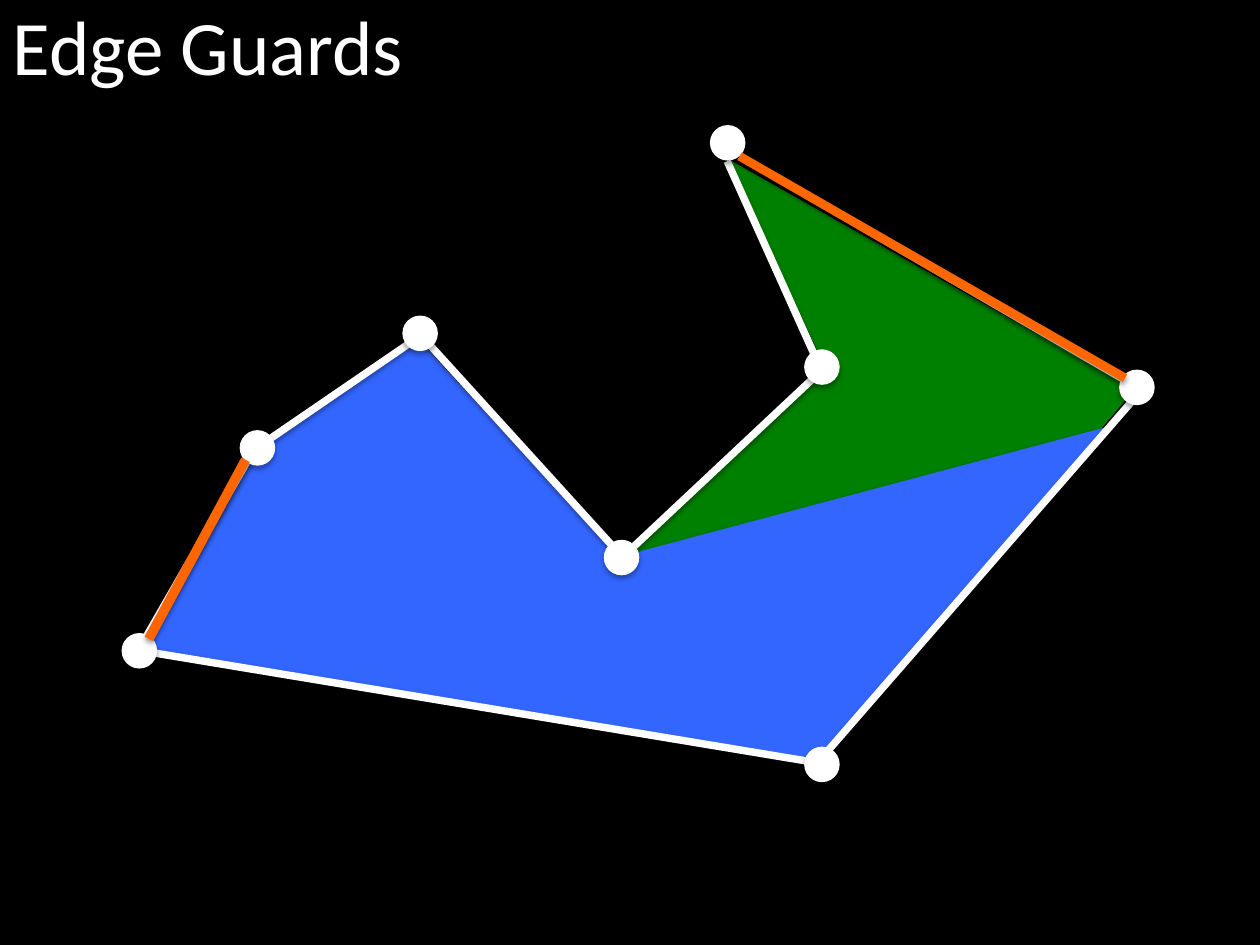
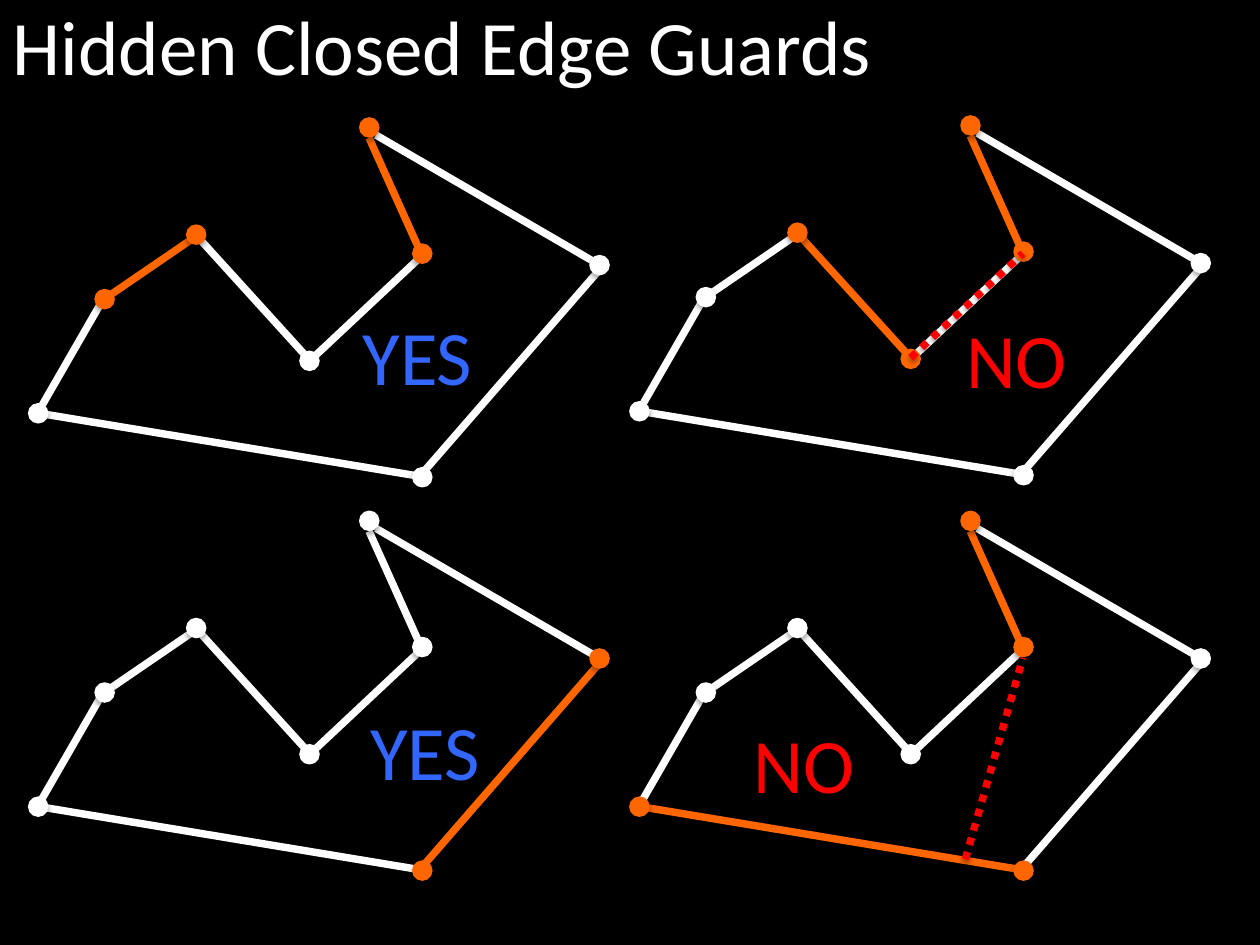
import lxml.etree
import pptx
import pptx.dml.color
import pptx.enum.dml
import pptx.enum.shapes
import pptx.enum.text
import pptx.oxml.ns
import pptx.util

Cm = pptx.util.Cm
Pt = pptx.util.Pt
RGBColor = pptx.dml.color.RGBColor
qn = pptx.oxml.ns.qn

# Colours and font
BLACK = RGBColor(0x00, 0x00, 0x00)
WHITE = RGBColor(0xFF, 0xFF, 0xFF)
ORANGE = RGBColor(0xFF, 0x66, 0x00)
GREEN = RGBColor(0x00, 0x80, 0x00)
BLUE = RGBColor(0x33, 0x66, 0xFF)
RED = RGBColor(0xFF, 0x00, 0x00)
FONT = "Calibri"

# Polygon at full size, in centimetres
DOT = 0.69
VERTICES = {
    "west": (2.81, 13.12), "peak": (8.47, 6.72), "notch": (12.53, 11.24),
    "elbow": (16.57, 7.4), "tip": (14.67, 2.88), "south": (16.57, 15.41),
    "east": (22.92, 7.81), "shoulder": (5.19, 9.03),
}
EDGES = {
    ("tip", "east"): ((14.91, 3.15), (22.86, 7.77)),
    ("shoulder", "west"): ((5.16, 8.99), (2.79, 13.11)),
    ("shoulder", "peak"): ((5.16, 9.04), (8.46, 6.78)),
    ("peak", "notch"): ((8.46, 6.73), (12.55, 11.23)),
    ("notch", "elbow"): ((12.55, 11.23), (16.56, 7.47)),
    ("west", "south"): ((2.79, 13.11), (16.56, 15.39)),
    ("south", "east"): ((16.51, 15.34), (23.14, 7.72)),
    ("elbow", "tip"): ((16.56, 7.47), (14.66, 3.25)),
}

# Areas seen by the two guards
GREEN_AREA = [(14.73, 3.25), (16.66, 7.44), (12.5, 11.3),
              (6.02, 13.54), (16.48, 15.29), (22.86, 7.85)]
BLUE_AREA = [(8.43, 6.83), (5.16, 9.04), (2.84, 13.16),
             (16.51, 15.37), (22.38, 8.59), (12.47, 11.23)]

# Small polygons: offset, guard edges, answer, answer position, answer colour
SMALL = 0.56270
PANELS = [
    ((-0.81, 0.95), [("shoulder", "peak"), ("elbow", "tip")],
     "YES", (7.06, 6.1), BLUE),
    ((11.31, 0.91), [("peak", "notch"), ("elbow", "tip")],
     "NO", (19.23, 6.15), RED),
    ((-0.81, 8.88), [("south", "east")],
     "YES", (7.21, 14.05), BLUE),
    ((11.31, 8.88), [("west", "south"), ("elbow", "tip")],
     "NO", (14.94, 14.33), RED),
]
SIGHT_LINES = [((18.36, 7.21), (20.62, 5.11)),
               ((19.46, 17.32), (20.62, 13.26))]


def write(tf, text, size=44, color=WHITE, font=FONT):
    """Put one left-aligned line of text at the top of a text frame."""
    tf.word_wrap = True
    tf.auto_size = pptx.enum.text.MSO_AUTO_SIZE.NONE
    tf.vertical_anchor = pptx.enum.text.MSO_ANCHOR.TOP
    p = tf.paragraphs[0]
    p.alignment = pptx.enum.text.PP_ALIGN.LEFT
    r = p.add_run()
    r.text = text
    r.font.name = font
    r.font.size = Pt(size)
    r.font.color.rgb = color


def cast_shadow(shape, opacity=35, distance=1.8):
    """Give a shape a soft shadow straight below it."""
    spPr = shape._element.spPr
    effects = spPr.find(qn("a:effectLst"))
    if effects is None:
        effects = lxml.etree.SubElement(spPr, qn("a:effectLst"))
    shadow = lxml.etree.SubElement(
        effects, qn("a:outerShdw"), blurRad=str(Pt(3.1)),
        dist=str(Pt(distance)), dir="5400000", rotWithShape="0")
    tint = lxml.etree.SubElement(shadow, qn("a:srgbClr"), val=str(BLACK))
    lxml.etree.SubElement(tint, qn("a:alpha"), val=str(opacity * 1000))


class Deck:
    def __init__(self):
        self.prs = pptx.Presentation()
        self.prs.slide_width = Cm(25.4)
        self.prs.slide_height = Cm(19.05)
        fill = self.prs.slide_master.background.fill
        fill.solid()
        fill.fore_color.rgb = BLACK
        self.s = None

    def slide(self, title):
        self.s = self.prs.slides.add_slide(self.prs.slide_layouts[5])
        sp = self.s.shapes.title
        sp.left, sp.top = Cm(0), Cm(-0.15)
        sp.width, sp.height = Cm(23.65), Cm(2.13)
        write(sp.text_frame, title)

    def label(self, text, at, color):
        sp = self.s.shapes.add_textbox(*map(Cm, at), Cm(4.42), Cm(2.13))
        write(sp.text_frame, text, color=color)

    def paint(self, sp, color, outlined=True):
        sp.shadow.inherit = False
        sp.fill.solid()
        sp.fill.fore_color.rgb = color
        if outlined:
            sp.line.color.rgb = color
            sp.line.width = Pt(0.75)
        else:
            sp.line.fill.background()
        cast_shadow(sp)

    def area(self, points, color, outlined=True):
        start, *rest = [(Cm(x), Cm(y)) for x, y in points]
        builder = self.s.shapes.build_freeform(*start)
        builder.add_line_segments(rest, close=True)
        self.paint(builder.convert_to_shape(), color, outlined)

    def line(self, start, end, color, width=4.25, dotted=False, shapes=None):
        shapes = self.s.shapes if shapes is None else shapes
        cn = shapes.add_connector(pptx.enum.shapes.MSO_CONNECTOR.STRAIGHT,
                                  *map(Cm, start), *map(Cm, end))
        cn.line.color.rgb = color
        cn.line.width = Pt(width)
        if dotted:
            cn.line.dash_style = pptx.enum.dml.MSO_LINE.ROUND_DOT
        cast_shadow(cn, opacity=38, distance=1.6)

    def dot(self, center, size, color, shapes):
        x, y = center
        sp = shapes.add_shape(pptx.enum.shapes.MSO_SHAPE.OVAL,
                              Cm(x - size / 2), Cm(y - size / 2),
                              Cm(size), Cm(size))
        self.paint(sp, color)

    def polygon(self, offset=(0, 0), scale=1, guards=()):
        """Draw the polygon as a group, with guard edges in orange."""
        def place(point):
            return [o + scale * v for o, v in zip(offset, point)]

        shapes = self.s.shapes.add_group_shape().shapes
        for edge, (start, end) in EDGES.items():
            color = ORANGE if edge in guards else WHITE
            self.line(place(start), place(end), color, shapes=shapes)
        guarded = {name for edge in guards for name in edge}
        for name, center in VERTICES.items():
            color = ORANGE if name in guarded else WHITE
            self.dot(place(center), DOT * scale, color, shapes)


def main():
    deck = Deck()

    # Edge guards and what they see
    deck.slide("Edge Guards")
    deck.area(GREEN_AREA, GREEN)
    deck.area(BLUE_AREA, BLUE, outlined=False)
    deck.polygon()
    deck.line((14.91, 3.15), (22.68, 7.62), ORANGE, width=5)
    deck.line((4.95, 9.27), (3, 12.88), ORANGE, width=5.5)

    # Four choices of hidden guards
    deck.slide("Hidden Closed Edge Guards")
    for offset, guards, answer, at, color in PANELS:
        deck.polygon(offset, SMALL, guards)
        deck.label(answer, at, color)
    for start, end in SIGHT_LINES:
        deck.line(start, end, RED, dotted=True)

    deck.prs.save("out.pptx")


if __name__ == "__main__":
    main()
